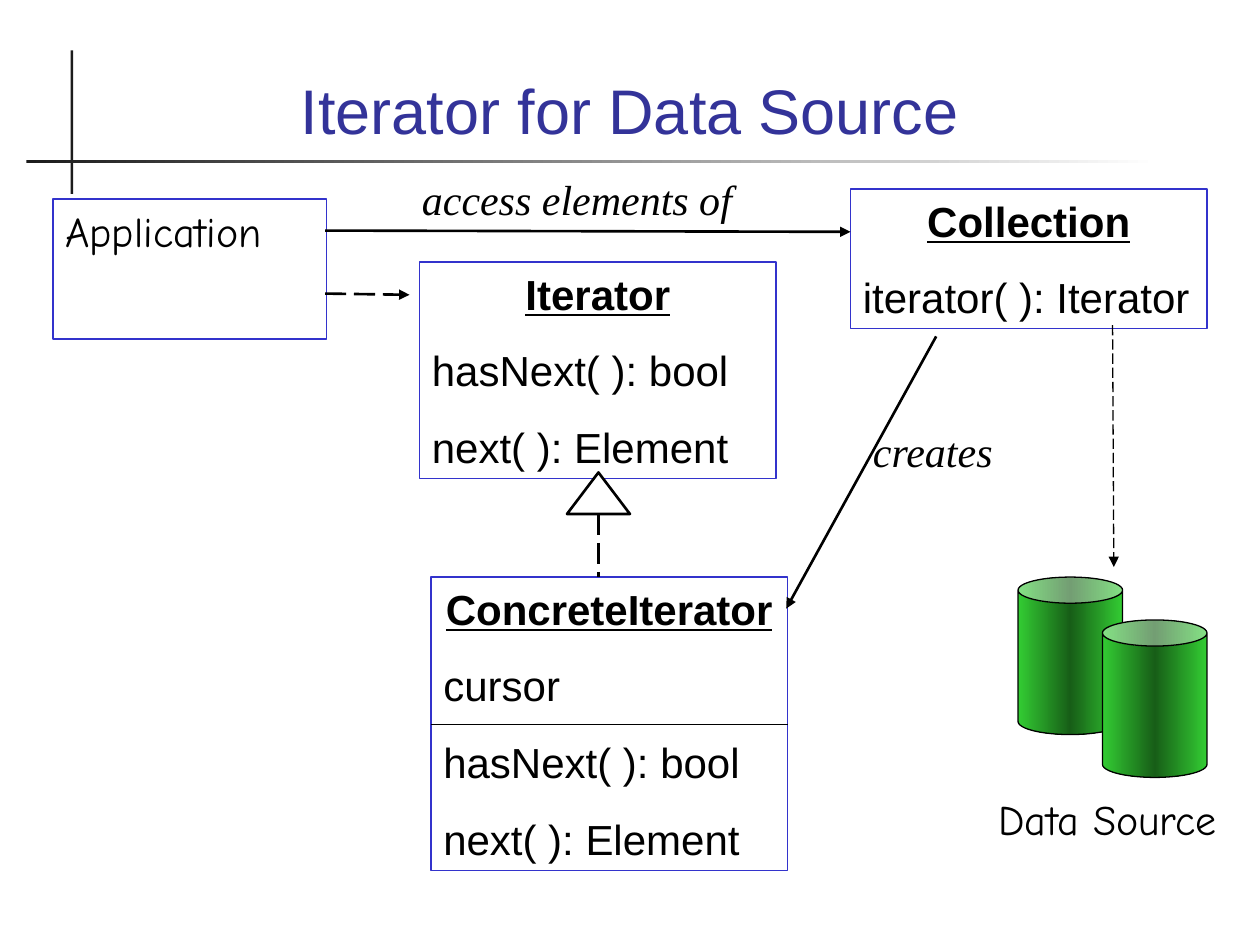
from lxml.etree import SubElement
from pptx import Presentation
from pptx.dml.color import RGBColor
from pptx.enum.dml import MSO_LINE
from pptx.enum.shapes import MSO_CONNECTOR, MSO_SHAPE
from pptx.enum.text import MSO_ANCHOR, PP_ALIGN
from pptx.oxml import parse_xml
from pptx.oxml.ns import nsdecls, qn
from pptx.util import Inches, Pt

COLORS = {
    "title": "333399",
    "border": "3333CC",
    "text": "000000",
    "rule": "1C1C1C",
    "white": "FFFFFF",
    "green": "33CC33",
    "dark_green": "175E17",
}


def rgb(name):
    return RGBColor.from_string(COLORS[name])


def write(p, text, font="Arial", size=24, color="text", align=PP_ALIGN.LEFT,
          before=0, bold=False, italic=False, underline=False):
    p.alignment = align
    p.space_before = Pt(before)
    r = p.add_run()
    r.text = text
    f = r.font
    f.name, f.size, f.color.rgb = font, Pt(size), rgb(color)
    f.bold, f.italic, f.underline = bold, italic, underline


class Diagram:
    """Holds the slide being drawn and the style shared by its elements."""
    paragraph_gap = 15
    hand_font = "Comic Neue"
    label_font = "Times New Roman"

    def __init__(self, slide):
        self.s = slide

    def shape(self, kind, x, y, w, h, fill=None, line=None, width=0.75):
        """Add a preset shape; a tuple as fill is a left-to-right gradient."""
        sp = self.s.shapes.add_shape(kind, Inches(x), Inches(y), Inches(w), Inches(h))
        sp.shadow.inherit = False
        if fill is None:
            sp.fill.background()
        elif isinstance(fill, tuple):
            self.gradient(sp, fill)
        else:
            sp.fill.solid()
            sp.fill.fore_color.rgb = rgb(fill)
        if line:
            sp.line.color.rgb = rgb(line)
            sp.line.width = Pt(width)
        else:
            sp.line.fill.background()
        return sp

    def gradient(self, sp, names):
        step = 100000 // (len(names) - 1)
        stops = "".join(
            f'<a:gs pos="{i * step}"><a:srgbClr val="{COLORS[name]}"/></a:gs>'
            for i, name in enumerate(names))
        sp._element.spPr.find(qn("a:prstGeom")).addnext(parse_xml(
            f'<a:gradFill {nsdecls("a")} rotWithShape="1"><a:gsLst>{stops}</a:gsLst>'
            '<a:lin ang="0" scaled="0"/></a:gradFill>'))

    def class_box(self, x, y, w, h, name, members=()):
        """Add a class with a centred, underlined name above its members."""
        tf = self.shape(MSO_SHAPE.RECTANGLE, x, y, w, h, line="border").text_frame
        tf.vertical_anchor = MSO_ANCHOR.TOP
        write(tf.paragraphs[0], name, align=PP_ALIGN.CENTER, bold=True, underline=True)
        for member in members:
            write(tf.add_paragraph(), member, before=self.paragraph_gap)

    def plain_box(self, x, y, w, h, text):
        tf = self.shape(MSO_SHAPE.RECTANGLE, x, y, w, h, line="border").text_frame
        tf.vertical_anchor = MSO_ANCHOR.TOP
        write(tf.paragraphs[0], text, font=self.hand_font)

    def text(self, x, y, w, h, text, anchor=MSO_ANCHOR.TOP, **style):
        tf = self.s.shapes.add_textbox(
            Inches(x), Inches(y), Inches(w), Inches(h)).text_frame
        tf.word_wrap = True
        tf.vertical_anchor = anchor
        write(tf.paragraphs[0], text, **style)

    def label(self, x, y, w, text):
        self.text(x, y, w, 0.5, text, font=self.label_font, italic=True)

    def line(self, x1, y1, x2, y2, width=1.5, arrow=False, dashed=False):
        c = self.s.shapes.add_connector(
            MSO_CONNECTOR.STRAIGHT, Inches(x1), Inches(y1), Inches(x2), Inches(y2))
        c.line.color.rgb = rgb("text")
        c.line.width = Pt(width)
        if dashed:
            c.line.dash_style = MSO_LINE.LONG_DASH
        if arrow:
            SubElement(c.line._get_or_add_ln(), qn("a:tailEnd"), type="triangle")
        SubElement(c._element.spPr, qn("a:effectLst"))

    def cylinder(self, x, y):
        self.shape(MSO_SHAPE.CAN, x, y, 0.83, 1.25,
                   fill=("green", "dark_green", "green"), line="text")


def main():
    prs = Presentation()
    prs.slide_width, prs.slide_height = Inches(10), Inches(7.5)
    d = Diagram(prs.slides.add_slide(prs.slide_layouts[6]))

    d.shape(MSO_SHAPE.RECTANGLE, 0.56, 0.4, 0.02, 1.14, fill="rule")
    d.shape(MSO_SHAPE.RECTANGLE, 0.21, 1.27, 8.98, 0.02, fill=("rule", "white"))
    d.text(0.67, 0.28, 8.66, 0.94, "Iterator for Data Source", anchor=MSO_ANCHOR.BOTTOM,
           size=36, color="title", align=PP_ALIGN.CENTER)

    operations = ["hasNext( ): bool", "next( ): Element"]
    d.class_box(3.33, 2.08, 2.83, 1.72, "Iterator", operations)
    d.class_box(3.42, 4.58, 2.83, 2.33, "ConcreteIterator", ["cursor"] + operations)
    d.line(3.42, 5.75, 6.25, 5.75, width=0.75)
    d.class_box(6.75, 1.5, 2.83, 1.11, "Collection", ["iterator( ): Iterator"])
    d.plain_box(0.42, 1.58, 2.17, 1.11, "Application")

    d.shape(MSO_SHAPE.ISOSCELES_TRIANGLE, 4.5, 3.75, 0.5, 0.33,
            fill="white", line="text", width=1.5)
    d.line(4.75, 4.08, 4.75, 4.58, dashed=True)

    d.cylinder(8.08, 4.58)
    d.cylinder(8.75, 4.92)
    d.text(7.58, 6.25, 2.42, 0.5, "Data Source", font=d.hand_font, align=PP_ALIGN.CENTER)

    d.line(2.58, 1.83, 6.75, 1.84, arrow=True)
    d.label(3.25, 1.33, 2.75, "access elements of")
    d.line(2.58, 2.33, 3.25, 2.34, arrow=True, dashed=True)
    d.line(7.43, 2.67, 6.24, 4.83, arrow=True)
    d.label(6.83, 3.33, 1.25, "creates")
    d.line(8.83, 2.58, 8.84, 4.5, width=0.75, arrow=True, dashed=True)

    prs.save("out.pptx")


if __name__ == "__main__":
    main()
